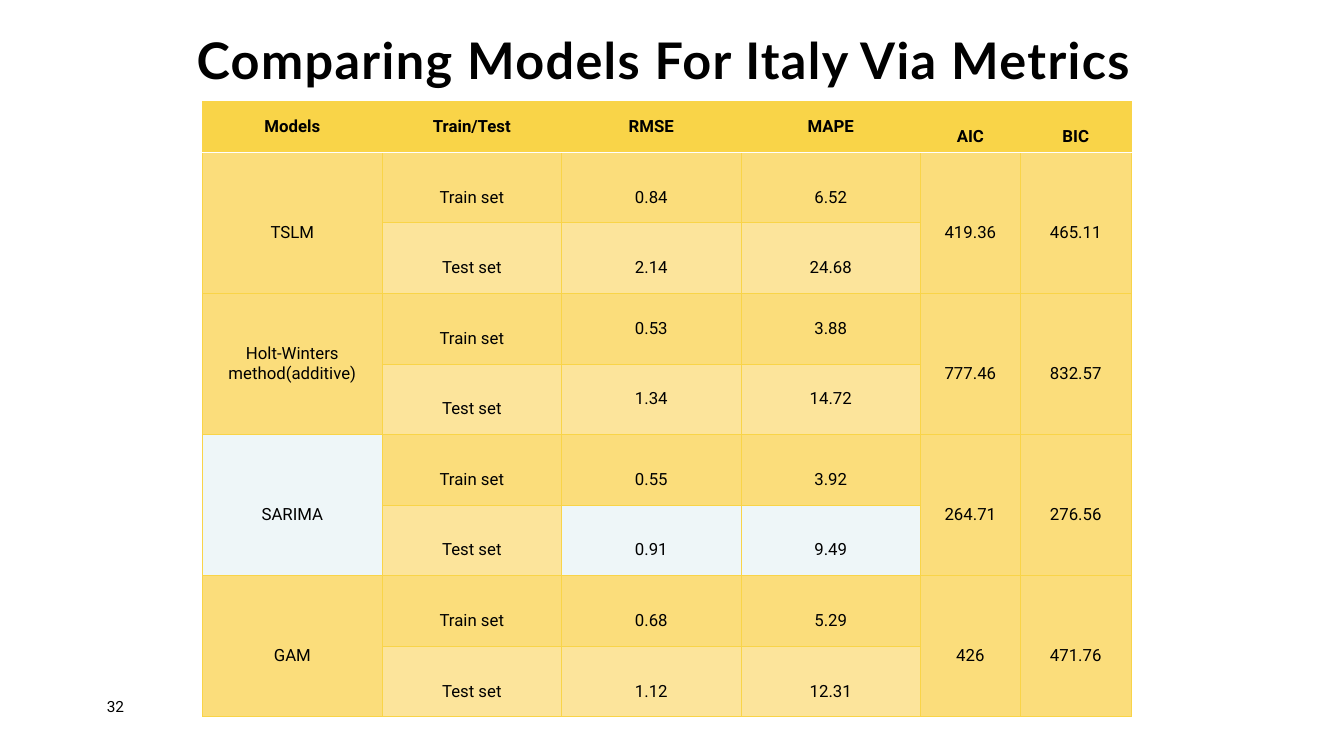
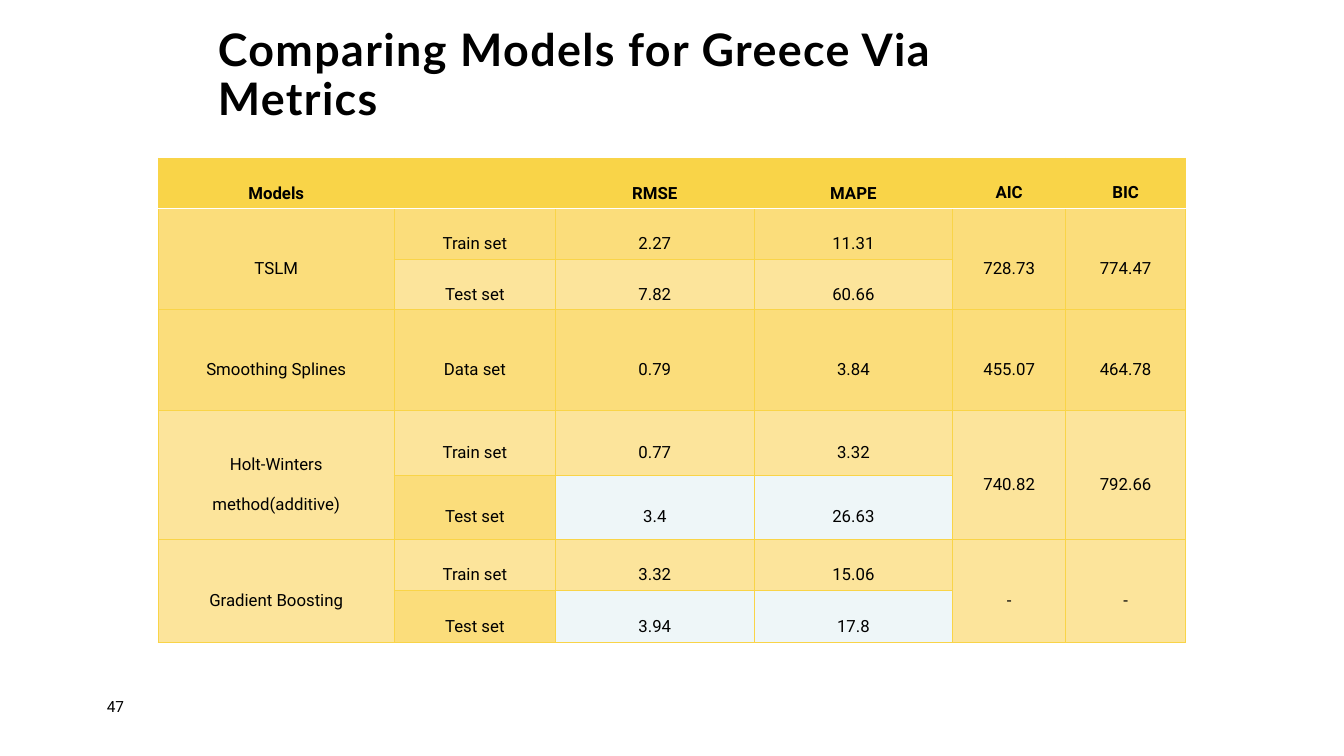
from lxml import etree
from pptx import Presentation
from pptx import util as u
from pptx.dml.color import RGBColor
from pptx.enum import text
from pptx.oxml.ns import qn

COLORS = {"ink": "000000", "gold": "F9D448", "dark": "FBDD7B", "light": "FCE49B",
          "best": "EEF6F8", "white": "FFFFFF"}
TITLE_FONT, BODY_FONT = "Lato", "Roboto"

# Models: name, (set, RMSE, MAPE) rows, AIC, BIC.
# Cells in "best" and "single_spaced" are (row, column) pairs.
SLIDES = [
    {
        "title": "Comparing Models For Italy Via Metrics", "size": 36,
        "title_box": (1.95, 0.23, 9.31, 0.67), "number": "32",
        "table_at": (2.01, 1.01),
        "columns": [1.78] * 4 + [0.99, 1.1], "rows": [0.41] + [0.7] * 8,
        "header": ["Models", "Train/Test", "RMSE", "MAPE", "AIC", "BIC"],
        "models": [
            ("TSLM", [("Train set", "0.84", "6.52"), ("Test set", "2.14", "24.68")], "419.36", "465.11"),
            ("Holt-Winters method(additive)",
             [("Train set", "0.53", "3.88"), ("Test set", "1.34", "14.72")], "777.46", "832.57"),
            ("SARIMA", [("Train set", "0.55", "3.92"), ("Test set", "0.91", "9.49")], "264.71", "276.56"),
            ("GAM", [("Train set", "0.68", "5.29"), ("Test set", "1.12", "12.31")], "426", "471.76"),
        ],
        "best": {(5, 0), (6, 2), (6, 3)},
        "single_spaced": {(0, 0), (0, 1), (0, 2), (0, 3), (3, 0), (3, 2), (3, 3), (4, 2), (4, 3)},
    },
    {
        "title": "Comparing Models for Greece Via Metrics", "size": 32,
        "title_box": (2.16, 0.57, 8.69, 0.67), "number": "47",
        "table_at": (1.57, 1.57),
        "columns": [2.34, 1.6, 1.97, 1.97, 1.12, 1.19],
        "rows": [0.5, 0.5, 0.5, 1, 0.64, 0.64, 0.51, 0.51],
        "header": ["Models", "", "RMSE", "MAPE", "AIC", "BIC"],
        "models": [
            ("TSLM", [("Train set", "2.27", "11.31"), ("Test set", "7.82", "60.66")], "728.73", "774.47"),
            ("Smoothing Splines", [("Data set", "0.79", "3.84")], "455.07", "464.78"),
            ("Holt-Winters method(additive)",
             [("Train set", "0.77", "3.32"), ("Test set", "3.4", "26.63")], "740.82", "792.66"),
            ("Gradient Boosting", [("Train set", "3.32", "15.06"), ("Test set", "3.94", "17.8")], "-", "-"),
        ],
        "best": {(5, 2), (5, 3), (7, 2), (7, 3)},
        "single_spaced": set(),
    },
]


def add_run(para, words, font, size, bold=False):
    span = para.add_run()
    span.text = words
    span.font.name = font
    span.font.size = u.Pt(size)
    span.font.bold = bold
    span.font.color.rgb = RGBColor.from_string(COLORS["ink"])
    return span


def add_text_box(page, place, words, font, size, bold=False):
    """Add a wrapped box without margins and return its frame and run."""
    box = page.shapes.add_textbox(*map(u.Inches, place))
    frame = box.text_frame
    frame.word_wrap = True
    frame.margin_left = frame.margin_right = frame.margin_top = frame.margin_bottom = 0
    return frame, add_run(frame.paragraphs[0], words, font, size, bold)


deck = Presentation()
deck.slide_width, deck.slide_height = u.Inches(13.33), u.Inches(7.5)

for content in SLIDES:
    page = deck.slides.add_slide(deck.slide_layouts[6])

    frame, span = add_text_box(page, content["title_box"], content["title"],
                               TITLE_FONT, content["size"], True)
    frame.vertical_anchor = text.MSO_ANCHOR.BOTTOM
    frame.paragraphs[0].line_spacing = 0.9
    span.font._element.set("spc", "100")

    columns, rows = content["columns"], content["rows"]
    size = sum(columns), sum(rows)
    table = page.shapes.add_table(len(rows), len(columns),
                                  *map(u.Inches, content["table_at"] + size)).table
    for column, width in zip(table.columns, columns):
        column.width = u.Inches(width)
    for row, height in zip(table.rows, rows):
        row.height = u.Inches(height)

    grid = [content["header"]]
    for name, results, aic, bic in content["models"]:
        first = len(grid)
        for index, result in enumerate(results):
            outer = (name, aic, bic) if index == 0 else ("", "", "")
            grid.append([outer[0], *result, *outer[1:]])
        if len(results) > 1:
            for c in (0, 4, 5):
                table.cell(first, c).merge(table.cell(len(grid) - 1, c))

    for r, values in enumerate(grid):
        for c, value in enumerate(values):
            cell = table.cell(r, c)
            properties = cell._tc.get_or_add_tcPr()
            for side in ("lnL", "lnR", "lnT", "lnB"):
                under_header = (r, side) in ((0, "lnB"), (1, "lnT"))
                line = etree.SubElement(properties, qn("a:" + side),
                                        w=str(u.Pt(1 if under_header else 0.5)))
                paint = etree.SubElement(line, qn("a:solidFill"))
                etree.SubElement(paint, qn("a:srgbClr"),
                                 val=COLORS["white" if under_header else "gold"])

            if r == 0:
                color = "gold"
            elif (r, c) in content["best"]:
                color = "best"
            else:
                color = "dark" if r % 2 else "light"
            cell.fill.solid()
            cell.fill.fore_color.rgb = RGBColor.from_string(COLORS[color])

            top = r == 0 and c >= 4
            cell.vertical_anchor = text.MSO_ANCHOR.TOP if top else text.MSO_ANCHOR.MIDDLE
            if value:
                para = cell.text_frame.paragraphs[0]
                para.alignment = text.PP_ALIGN.CENTER
                para.line_spacing = 1.0 if (r, c) in content["single_spaced"] else 2.0
                add_run(para, value, BODY_FONT, 12, r == 0)

    add_text_box(page, (1.06, 6.92, 0.57, 0.27), content["number"], BODY_FONT, 11)

deck.save("out.pptx")
